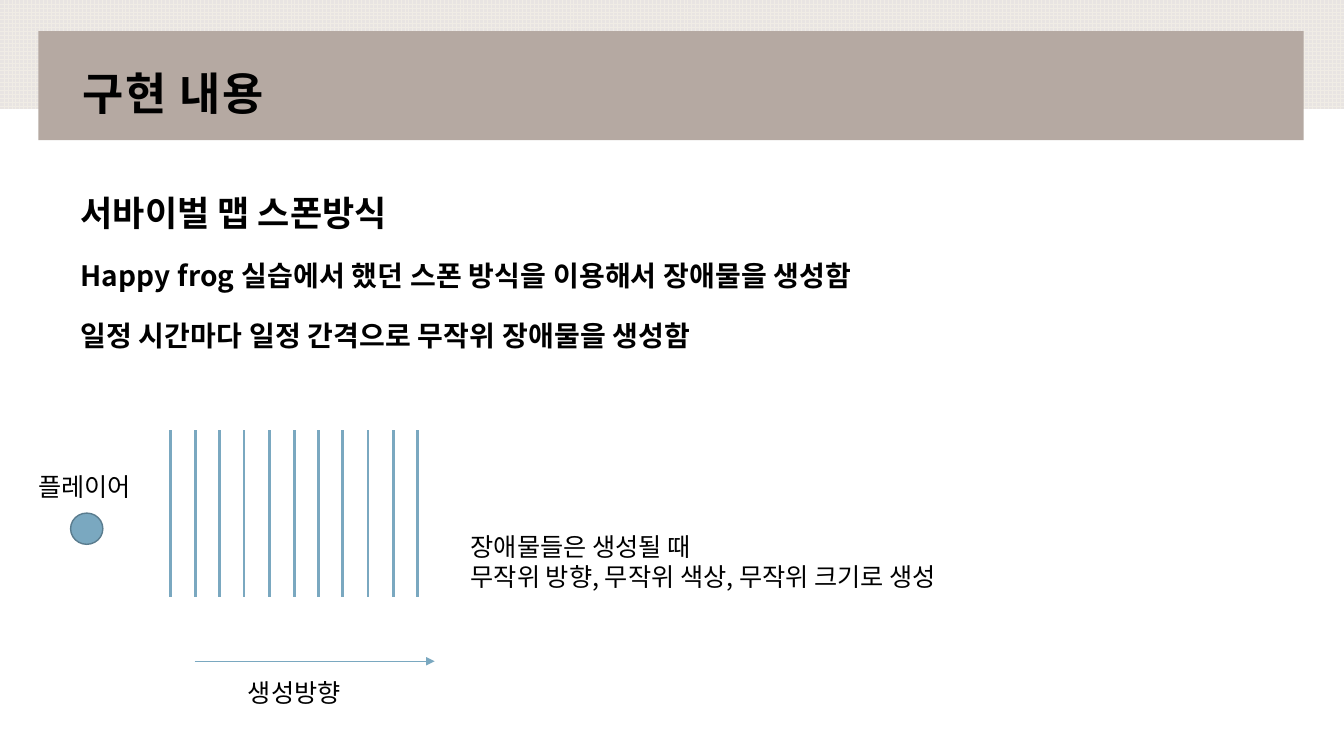
from lxml.etree import SubElement
from pptx import Presentation
from pptx.dml.color import RGBColor
from pptx.enum.dml import MSO_PATTERN
from pptx.enum.shapes import MSO_CONNECTOR, MSO_SHAPE
from pptx.enum.text import MSO_ANCHOR
from pptx.oxml.ns import qn
from pptx.util import Pt

EMU_PER_PX = 9144
FONT = "Noto Sans CJK KR"
BLACK = "000000"
BLUE = "7AA8C0"
BARRIER_COUNT = 11


def px(length):
    return round(length * EMU_PER_PX)


def color(value):
    return RGBColor.from_string(value)


def add_text(slide, box, lines, bold=False, tracking=0, spacing=None, before=0):
    frame = slide.shapes.add_textbox(*map(px, box)).text_frame
    frame.word_wrap = True
    frame.text = "\n".join(text for text, size in lines)
    for index, (paragraph, (text, size)) in enumerate(zip(frame.paragraphs, lines)):
        if spacing:
            paragraph.line_spacing = spacing
        if before and index:
            paragraph.space_before = Pt(before)
        for run in paragraph.runs:
            run.font.size = Pt(size)
            run.font.bold = bold
            run.font.name = FONT
            run.font.color.rgb = color(BLACK)
            properties = run._r.get_or_add_rPr()
            if tracking:
                properties.set("spc", str(tracking))
            SubElement(properties, qn("a:ea"), typeface=FONT)
    return frame


def add_panel(slide, preset, box):
    panel = slide.shapes.add_shape(preset, *map(px, box))
    panel.shadow.inherit = False
    panel.line.fill.background()
    return panel


def add_line(slide, start, end, width, arrow=False):
    line = slide.shapes.add_connector(MSO_CONNECTOR.STRAIGHT, *map(px, start + end))
    line.line.color.rgb = color(BLUE)
    line.line.width = Pt(width)
    properties = line._element.spPr
    if arrow:
        SubElement(properties.find(qn("a:ln")), qn("a:tailEnd"), type="triangle")
    SubElement(properties, qn("a:effectLst"))


def add_header(slide, box):
    left, top, width, height = box
    backdrop = add_panel(slide, MSO_SHAPE.RECTANGLE, box)
    backdrop.fill.patterned()
    backdrop.fill.pattern = MSO_PATTERN.LARGE_GRID
    backdrop.fill.fore_color.rgb = color("F0ECE5")
    backdrop.fill.back_color.rgb = color("E8E4E2")

    band = add_panel(slide, MSO_SHAPE.RECTANGLE, (left + 38, top + 31, width - 78, height))
    band.fill.solid()
    band.fill.fore_color.rgb = color("B5A9A2")

    title = add_text(slide, (left + 70, top + 52, width - 140, 75),
                     [("구현 내용", 32)], bold=True, tracking=100, spacing=1.05)
    title.vertical_anchor = MSO_ANCHOR.MIDDLE
    title.margin_left = title.margin_right = title.margin_top = px(12)
    title.margin_bottom = px(10)


def add_explanation(slide, box):
    lines = [
        ("서바이벌 맵 스폰방식", 25),
        ("Happy frog 실습에서 했던 스폰 방식을 이용해서 장애물을 생성함", 20),
        ("일정 시간마다 일정 간격으로 무작위 장애물을 생성함", 20),
    ]
    add_text(slide, box, lines, bold=True, tracking=10, spacing=1.14, before=15)


def add_player(slide, box):
    left, top, width, height = box
    add_text(slide, (left, top, width, 40), [("플레이어", 18)])
    player = add_panel(slide, MSO_SHAPE.OVAL, (left + 42, top + 46, 32, 31))
    player.fill.solid()
    player.fill.fore_color.rgb = color(BLUE)
    player.line.color.rgb = color("5A7C8E")
    player.line.width = Pt(1)


def add_barriers(slide, box):
    left, top, width, height = box
    gap = width / (BARRIER_COUNT - 1)
    for index in range(BARRIER_COUNT):
        x = round(left + index * gap)
        add_line(slide, (x, top), (x, top + height), 2)
    arrow_y = top + height + 64
    add_line(slide, (left + 24, arrow_y), (left + 262, arrow_y), 1, arrow=True)
    add_text(slide, (left + 67, arrow_y + 11, 208, 40), [("생성방향", 18)])


def add_obstacle_note(slide, box):
    add_text(slide, box, [
        ("장애물들은 생성될 때", 18),
        ("무작위 방향, 무작위 색상, 무작위 크기로 생성", 18),
    ])


def main():
    deck = Presentation()
    deck.slide_width = px(1333)
    deck.slide_height = px(750)
    slide = deck.slides.add_slide(deck.slide_layouts[6])
    add_header(slide, (0, 0, 1333, 108))
    add_explanation(slide, (70, 179, 1193, 200))
    add_barriers(slide, (169, 427, 245, 165))
    add_player(slide, (28, 463, 178, 77))
    add_obstacle_note(slide, (457, 522, 545, 71))
    deck.save("out.pptx")


if __name__ == "__main__":
    main()
